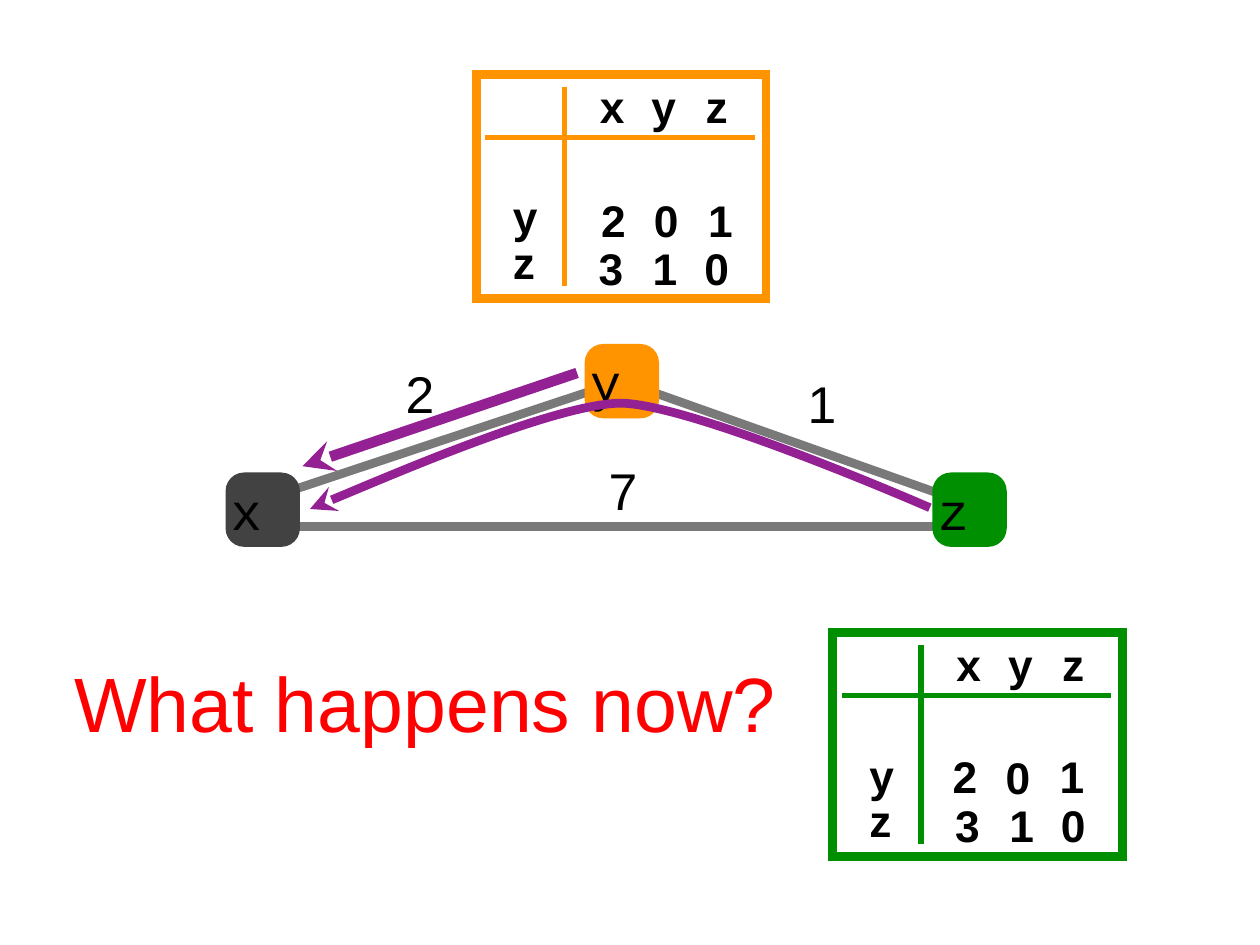
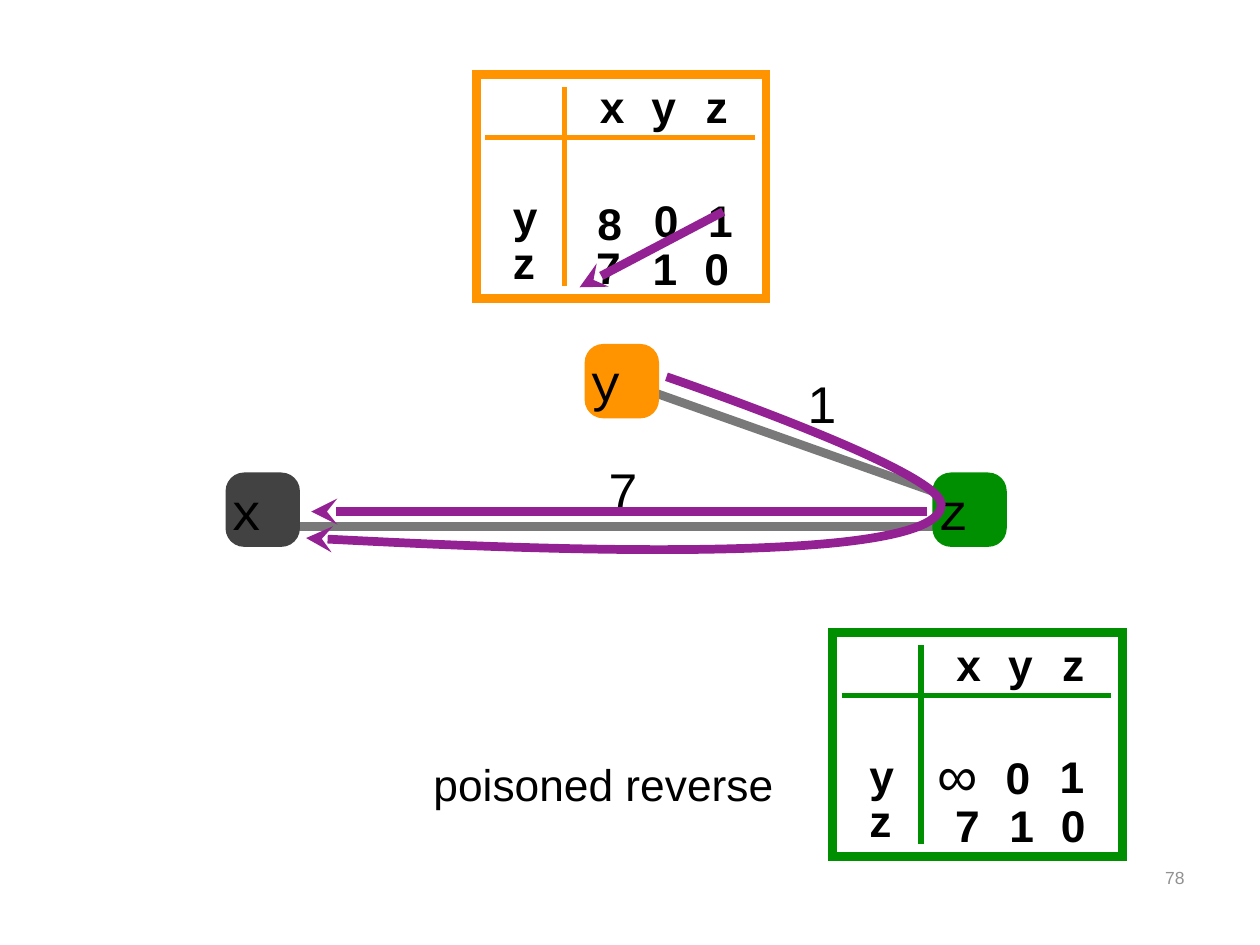
"""Build two distance-vector routing slides: three nodes and their cost tables."""
from typing import NamedTuple

from lxml import etree
from pptx import Presentation
from pptx import util as u
from pptx.dml.color import RGBColor
from pptx.enum import shapes, text
from pptx.oxml.ns import qn

PX = 9144
BLACK = RGBColor(0x00, 0x00, 0x00)
DARK = RGBColor(0x42, 0x42, 0x42)
GREY = RGBColor(0x79, 0x79, 0x79)
PALE = RGBColor(0x91, 0x91, 0x91)
ORANGE = RGBColor(0xFF, 0x93, 0x00)
GREEN = RGBColor(0x00, 0x8F, 0x00)
PURPLE = RGBColor(0x94, 0x21, 0x93)
RED = RGBColor(0xFF, 0x00, 0x00)
BODY_FONT = "Arial"
NODE_FONT = "Courier New"
LABEL_SIZE = 29.5
CELL_SIZE = 25.3

Point = tuple[int, int]


class Node(NamedTuple):
    name: str
    left: int
    top: int
    color: RGBColor


class Link(NamedTuple):
    start: Point
    end: Point


class Label(NamedTuple):
    words: str
    left: int
    top: int
    width: int = 29
    height: int = 58
    size: float = LABEL_SIZE
    color: RGBColor = BLACK
    bold: bool = False
    inset: tuple[int, int] = (4, 4)
    anchor: text.MSO_ANCHOR = text.MSO_ANCHOR.MIDDLE
    align: text.PP_ALIGN = text.PP_ALIGN.LEFT


class CostTable(NamedTuple):
    left: int
    top: int
    color: RGBColor
    costs: tuple[Label, ...]


class Curve(NamedTuple):
    start: Point
    bends: tuple[tuple[Point, Point, Point], ...]


NODES = (
    Node("x", 179, 375, DARK),
    Node("z", 740, 375, GREEN),
    Node("y", 464, 273, ORANGE),
)
LINK_XY = Link((476, 308), (223, 392))
LINK_XZ = Link((230, 418), (763, 418))
LINK_YZ = Link((509, 308), (763, 398))
LABEL_XZ = Label("7", 479, 360)
LABEL_XY = Label("2", 318, 283)
LABEL_YZ = Label("1", 637, 291)


def cell(words: str, left: int, top: int, width: int = 19, height: int = 51) -> Label:
    """Describe a bold table entry, placed relative to its table."""
    return Label(words, left, top, width, height, CELL_SIZE, bold=True)


HEADINGS = (
    *(cell(name, left, 2, 29, 46) for name, left in zip("xyz", (94, 135, 178))),
    *(cell(name, 25, top, 26) for name, top in zip("yz", (87, 123))),
)
ORANGE_COSTS = (cell("0", 137, 90), cell("1", 180, 90),
                cell("1", 136, 128), cell("0", 177, 128))
GREEN_COSTS = (cell("0", 133, 89), cell("1", 176, 88),
               cell("1", 136, 127), cell("0", 177, 127))


def orange_table(*costs: Label) -> CostTable:
    """Describe the table of node y with its costs to x."""
    return CostTable(378, 59, ORANGE, ORANGE_COSTS + costs)


def green_table(*costs: Label) -> CostTable:
    """Describe the table of node z with its costs to x."""
    return CostTable(661, 502, GREEN, GREEN_COSTS + costs)


def px(*lengths: int) -> list[u.Emu]:
    """Turn px lengths into EMU."""
    return [u.Emu(length * PX) for length in lengths]


def add_run(para, words: str, font: str, size: float, color: RGBColor,
            bold: bool = False) -> None:
    """Add one formatted run to a paragraph."""
    span = para.add_run()
    span.text = words
    span.font.name = font
    span.font.size = u.Pt(size)
    span.font.color.rgb = color
    span.font.bold = bold


def set_insets(frame, across: int, down: int) -> None:
    """Set the text margins of a frame."""
    frame.margin_left, frame.margin_right = px(across, across)
    frame.margin_top, frame.margin_bottom = px(down, down)


def style_line(shape, color: RGBColor, width: float, arrow: bool = False) -> None:
    """Colour a line, square its corners and optionally point its end."""
    shape.line.color.rgb = color
    shape.line.width = u.Pt(width)
    line = shape.line._get_or_add_ln()
    etree.SubElement(line, qn("a:miter"), lim="800000")
    if arrow:
        etree.SubElement(line, qn("a:tailEnd"), type="stealth")


def add_label(page, label: Label, left: int = 0, top: int = 0) -> None:
    """Draw a text box, shifted by the corner of its owner."""
    box = page.shapes.add_textbox(
        *px(left + label.left, top + label.top, label.width, label.height))
    frame = box.text_frame
    frame.word_wrap = True
    frame.vertical_anchor = label.anchor
    set_insets(frame, *label.inset)
    para = frame.paragraphs[0]
    para.alignment = label.align
    add_run(para, label.words, BODY_FONT, label.size, label.color, label.bold)


def add_line(page, link: Link, color: RGBColor = GREY, width: float = 5,
             arrow: bool = False) -> None:
    """Draw a straight line, with an arrowhead at its end on request."""
    line = page.shapes.add_connector(
        shapes.MSO_CONNECTOR.STRAIGHT, *px(*link.start, *link.end))
    style_line(line, color, width, arrow)
    etree.SubElement(line._element.spPr, qn("a:effectLst"))


def add_node(page, node: Node) -> None:
    """Draw a named router as a rounded square."""
    box = page.shapes.add_shape(
        shapes.MSO_SHAPE.ROUNDED_RECTANGLE, *px(node.left, node.top, 59, 59))
    box.shadow.inherit = False
    box.adjustments[0] = 0.25
    box.fill.solid()
    box.fill.fore_color.rgb = node.color
    box.line.fill.background()
    frame = box.text_frame
    frame.vertical_anchor = text.MSO_ANCHOR.MIDDLE
    set_insets(frame, 0, 0)
    para = frame.paragraphs[0]
    para.alignment = text.PP_ALIGN.LEFT
    add_run(para, node.name, NODE_FONT, LABEL_SIZE, BLACK)


def add_cost_table(page, table: CostTable) -> None:
    """Draw a framed cost table with its two rules and entries."""
    left, top = table.left, table.top
    border = page.shapes.add_shape(
        shapes.MSO_SHAPE.RECTANGLE, *px(left, top, 230, 178))
    border.shadow.inherit = False
    border.fill.background()
    style_line(border, table.color, 5)
    across = Link((left + 7, top + 50), (left + 221, top + 50))
    down = Link((left + 70, top + 10), (left + 70, top + 168))
    for rule in (across, down):
        add_line(page, rule, table.color, 3)
    for entry in HEADINGS + table.costs:
        add_label(page, entry, left, top)


def add_curve(page, curve: Curve) -> None:
    """Draw a purple curved arrow through cubic bends."""
    knots = [curve.start, *(bend[-1] for bend in curve.bends)]
    origin_x, origin_y = (min(values) for values in zip(*knots))
    builder = page.shapes.build_freeform(*curve.start, scale=PX)
    builder.add_line_segments(knots[1:], close=False)
    outline = builder.convert_to_shape()
    outline.shadow.inherit = False
    outline.fill.background()
    style_line(outline, PURPLE, 5, arrow=True)
    segments = list(outline._element.iter(qn("a:lnTo")))
    for segment, bend in zip(segments, curve.bends):
        cubic = etree.Element(qn("a:cubicBezTo"))
        for x, y in bend:
            etree.SubElement(cubic, qn("a:pt"), x=str(x - origin_x), y=str(y - origin_y))
        segment.getparent().replace(segment, cubic)


def add_network(deck, links: tuple[Link, ...], labels: tuple[Label, ...],
                tables: tuple[CostTable, ...]):
    """Add a page with links, nodes, link costs and cost tables."""
    page = deck.slides.add_slide(deck.slide_layouts[6])
    for link in links:
        add_line(page, link)
    for node in NODES:
        add_node(page, node)
    for label in labels:
        add_label(page, label)
    for table in tables:
        add_cost_table(page, table)
    return page


def add_question_page(deck) -> None:
    """Add the page with all links working."""
    page = add_network(
        deck, (LINK_XY, LINK_XZ, LINK_YZ), (LABEL_XZ, LABEL_XY, LABEL_YZ),
        (orange_table(cell("2", 95, 90), cell("3", 93, 128)),
         green_table(cell("2", 91, 88), cell("3", 93, 127))))
    add_line(page, Link((458, 296), (240, 370)), PURPLE, 6, arrow=True)
    add_curve(page, Curve((738, 403), (
        ((738, 403), (548, 320), (492, 320)),
        ((440, 321), (246, 404), (246, 404)))))
    add_label(page, Label("What happens now?", 49, 515, 583, 84, 44, RED,
                          inset=(10, 5), anchor=text.MSO_ANCHOR.TOP))


def add_poisoned_page(deck) -> None:
    """Add the page where the link from x to y is gone."""
    infinity = Label("∞", 79, 86, 48, 53, 32.3)
    page = add_network(
        deck, (LINK_XZ, LINK_YZ), (LABEL_XZ, LABEL_YZ),
        (orange_table(cell("8", 92, 92), cell("7", 91, 127)),
         green_table(infinity, cell("7", 93, 127))))
    add_label(page, Label("poisoned reverse", 340, 597, 292, 50, CELL_SIZE))
    for arrow in (Link((736, 406), (247, 406)), Link((574, 168), (460, 228))):
        add_line(page, arrow, PURPLE, 5, arrow=True)
    add_curve(page, Curve((529, 299), (
        ((529, 299), (746, 373), (747, 400)),
        ((750, 455), (243, 427), (243, 427)))))
    add_label(page, Label("78", 717, 683, 233, 50, 10, PALE, inset=(10, 5),
                          anchor=text.MSO_ANCHOR.TOP, align=text.PP_ALIGN.RIGHT))


def main() -> None:
    """Build and save the deck."""
    deck = Presentation()
    deck.slide_width, deck.slide_height = px(1000, 750)
    add_question_page(deck)
    add_poisoned_page(deck)
    deck.save("out.pptx")


if __name__ == "__main__":
    main()
